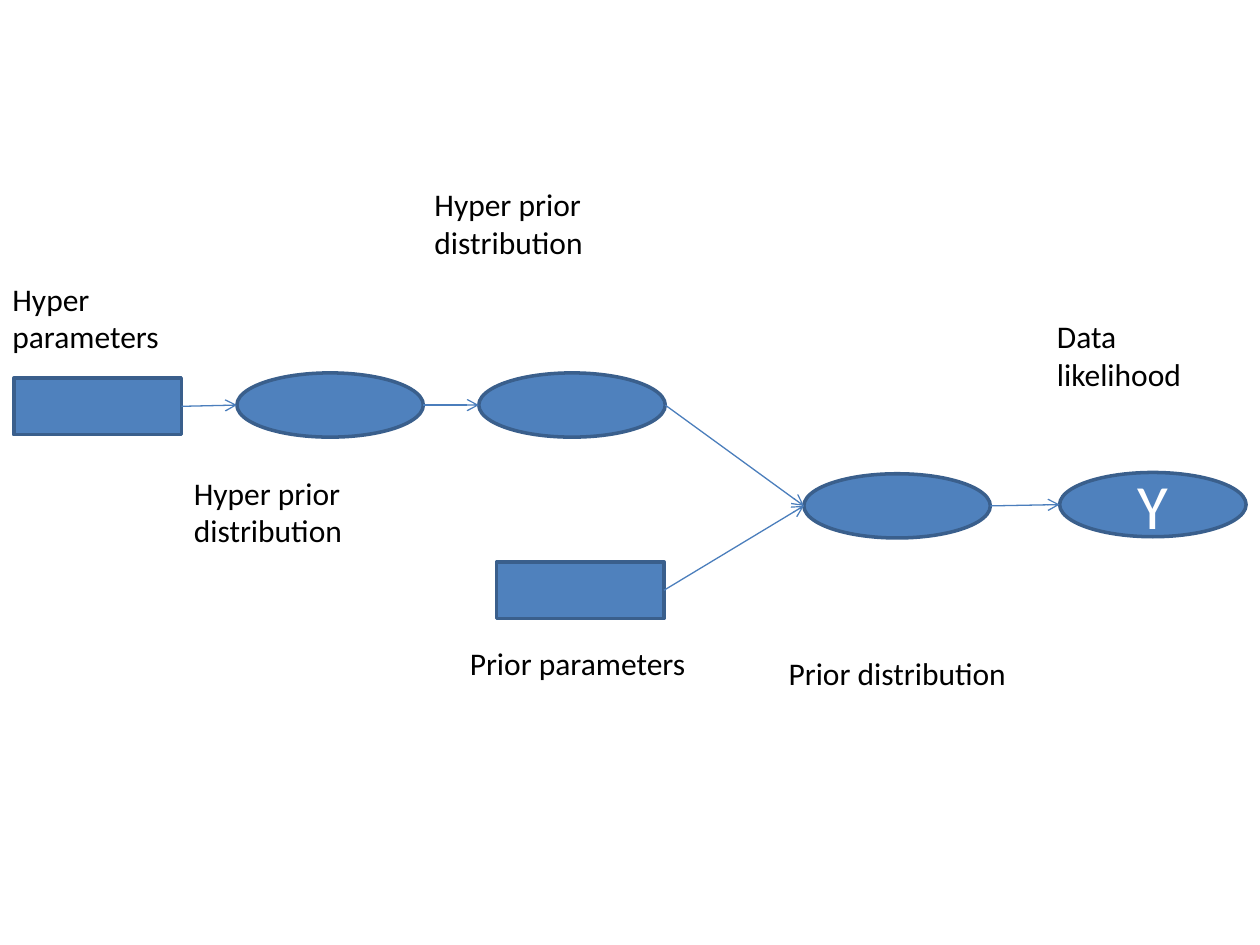
from dataclasses import dataclass

from lxml import etree
from pptx import Presentation
from pptx import util as u
from pptx.dml.color import RGBColor
from pptx.enum import shapes, text
from pptx.oxml.ns import qn

COLORS = {"fill": "4F81BD", "outline": "3A5F8C", "arrow": "4B7EBC",
          "label": "000000", "symbol": "FFFFFF"}
FONT = "Calibri"
CELL = u.Inches(0.1)  # the slide is a grid of 100 columns by 75 rows
COLUMNS, ROWS = 100, 75
RECTANGLE = shapes.MSO_SHAPE.RECTANGLE
ELLIPSE = shapes.MSO_SHAPE.OVAL
SIZES = {RECTANGLE: (13.3, 4.5), ELLIPSE: (14.8, 5.1)}
RECTANGLE_RIGHT = 3


@dataclass(frozen=True)
class Node:
    name: str
    kind: shapes.MSO_SHAPE
    column: float
    row: float
    symbol: str = ""


@dataclass(frozen=True)
class Label:
    content: str
    column: float
    row: float
    columns: float
    rows: float = 7.1


NODES = [
    Node("hyper parameters", RECTANGLE, 1.1, 30),
    Node("first hyper prior", ELLIPSE, 18.8, 29.6),
    Node("second hyper prior", ELLIPSE, 38, 29.6),
    Node("prior parameters", RECTANGLE, 39.4, 44.6),
    Node("prior", ELLIPSE, 63.8, 37.6),
    Node("data", ELLIPSE, 84.1, 37.5, "Y"),
]
ARROWS = [
    ("hyper parameters", "first hyper prior"),
    ("first hyper prior", "second hyper prior"),
    ("second hyper prior", "prior"),
    ("prior parameters", "prior"),
    ("prior", "data"),
]
LABELS = [
    Label("Hyper parameters", 0, 21.7, 17.5),
    Label("Hyper prior distribution", 14.4, 37.1, 23.7),
    Label("Hyper prior distribution", 33.5, 14.2, 23.7),
    Label("Prior parameters", 36.3, 50.6, 21.5, 4),
    Label("Prior distribution", 61.6, 51.4, 21.5, 4),
    Label("Data likelihood", 82.9, 24.7, 16.3),
]


def grid(cells: float) -> int:
    return round(cells * CELL)


def color(name: str) -> RGBColor:
    return RGBColor.from_string(COLORS[name])


def write(shape, content: str, *, size: float, color_name: str,
          align=text.PP_ALIGN.LEFT, anchor=text.MSO_ANCHOR.TOP) -> None:
    frame = shape.text_frame
    frame.word_wrap = True
    frame.vertical_anchor = anchor
    paragraph = frame.paragraphs[0]
    paragraph.alignment = align
    run = paragraph.add_run()
    run.text = content
    run.font.name = FONT
    run.font.size = u.Pt(size)
    run.font.color.rgb = color(color_name)


def draw_node(slide, node: Node):
    box = map(grid, (node.column, node.row, *SIZES[node.kind]))
    shape = slide.shapes.add_shape(node.kind, *box)
    shape.shadow.inherit = False
    shape.fill.solid()
    shape.fill.fore_color.rgb = color("fill")
    shape.line.color.rgb = color("outline")
    shape.line.width = u.Pt(2)
    if node.symbol:
        write(shape, node.symbol, size=36, color_name="symbol",
              align=text.PP_ALIGN.CENTER, anchor=text.MSO_ANCHOR.MIDDLE)
    return shape


def draw_arrow(slide, source, target) -> None:
    """Lead from the right side of source to the left side of target."""
    connector = slide.shapes.add_connector(
        shapes.MSO_CONNECTOR.STRAIGHT,
        source.left + source.width, source.top + source.height // 2,
        target.left, target.top + target.height // 2)
    if source.auto_shape_type == RECTANGLE:
        connector.begin_connect(source, RECTANGLE_RIGHT)
    connector.line.color.rgb = color("arrow")
    connector.line.width = u.Pt(0.75)
    properties = connector._element.spPr
    etree.SubElement(properties.find(qn("a:ln")), qn("a:tailEnd"), type="arrow")
    etree.SubElement(properties, qn("a:effectLst"))


def draw_label(slide, label: Label) -> None:
    box = map(grid, (label.column, label.row, label.columns, label.rows))
    shape = slide.shapes.add_textbox(*box)
    write(shape, label.content, size=18, color_name="label")


def main() -> None:
    presentation = Presentation()
    presentation.slide_width = grid(COLUMNS)
    presentation.slide_height = grid(ROWS)
    slide = presentation.slides.add_slide(presentation.slide_layouts[6])
    drawn = {node.name: draw_node(slide, node) for node in NODES}
    for source, target in ARROWS:
        draw_arrow(slide, drawn[source], drawn[target])
    for label in LABELS:
        draw_label(slide, label)
    presentation.save("out.pptx")


if __name__ == "__main__":
    main()
